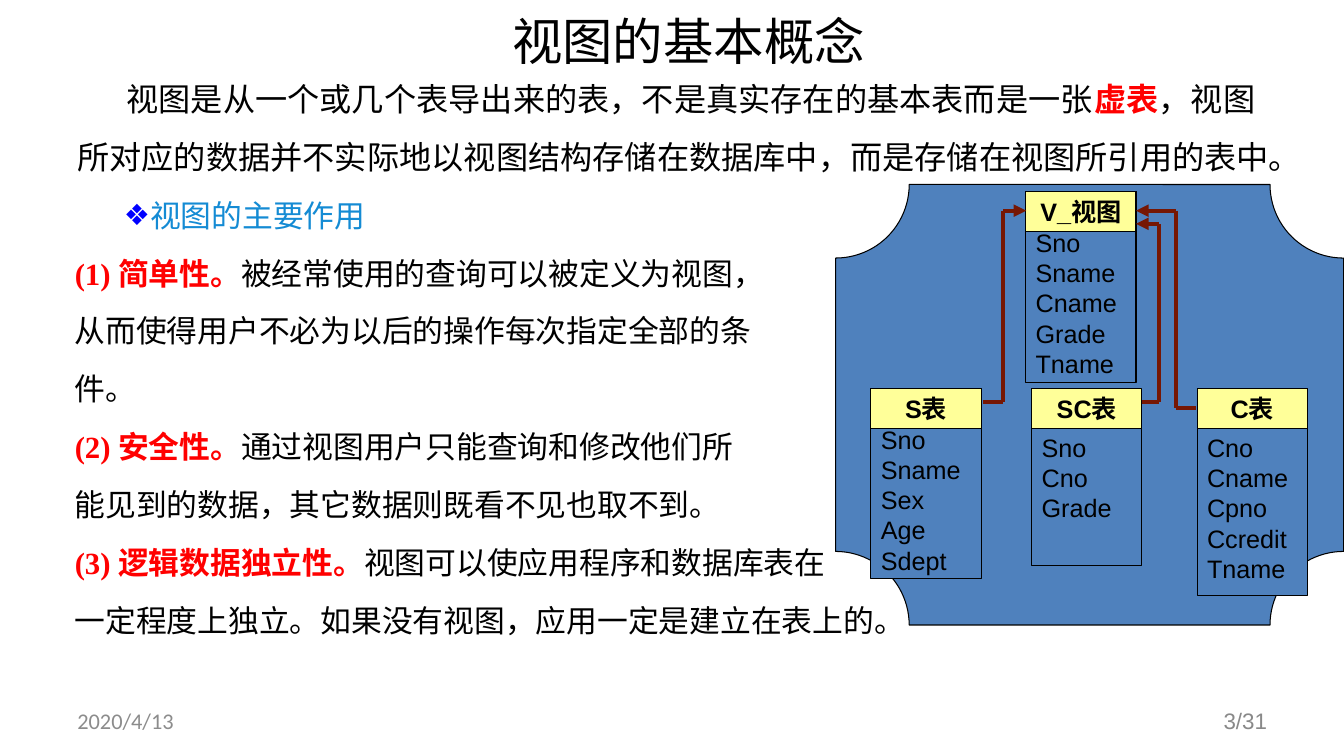
from lxml.etree import SubElement as Sub
from pptx import Presentation
from pptx.dml.color import RGBColor
from pptx.enum.shapes import MSO_CONNECTOR as Link, MSO_SHAPE as Kind
from pptx.enum.text import MSO_ANCHOR as Anchor, MSO_AUTO_SIZE as Auto, PP_ALIGN as Align
from pptx.oxml.ns import qn
from pptx.util import Cm, Pt

BLACK = RGBColor(0x00, 0x00, 0x00)
RED = RGBColor(0xFF, 0x00, 0x00)
AZURE = RGBColor(0x14, 0x8B, 0xD4)
BLUE = RGBColor(0x4F, 0x81, 0xBD)
CREAM = RGBColor(0xFF, 0xFF, 0x99)
MAROON = RGBColor(0x76, 0x17, 0x04)
GRAY = RGBColor(0x8C, 0x8C, 0x8C)
SILVER = RGBColor(0x89, 0x89, 0x89)


def write(para, text, color, **form):
    run = para.add_run()
    run.text = text
    run.font.color.rgb = color
    for key, val in form.items():
        setattr(run.font, key, val)


def draw(kind, box, fill):
    shape = slide.shapes.add_shape(kind, *map(Cm, box))
    shape.shadow.inherit = False
    shape.fill.solid()
    shape.fill.fore_color.rgb = fill
    shape.line.color.rgb = BLACK
    shape.line.width = Pt(0.75)
    return shape


deck = Presentation()
deck.slide_width, deck.slide_height = Cm(33.87), Cm(19.05)
slide = deck.slides.add_slide(deck.slide_layouts[1])
title, body = slide.placeholders
sides = ("left", "top", "width", "height")
for holder, box in (
    (title, (6.53, -0.08, 21.64, 2.21)),
    (body, (0.36, 4.45, 23.04, 12.45)),
):
    for side, size in zip(sides, box):
        setattr(holder, side, Cm(size))
    holder.text_frame.auto_size = Auto.NONE

head = title.text_frame.paragraphs[0]
head.alignment = Align.CENTER
write(head, "视图的基本概念", BLACK, size=Pt(36), name="Times New Roman")

points = [
    [("视图的主要作用", AZURE)],
    [("(1) 简单性。", RED), ("被经常使用的查询可以被定义为视图，", BLACK)],
    [("从而使得用户不必为以后的操作每次指定全部的条", BLACK)],
    [("件。", BLACK)],
    [("(2) 安全性。", RED), ("通过视图用户只能查询和修改他们所", BLACK)],
    [("能见到的数据，其它数据则既看不见也取不到。", BLACK)],
    [("(3) 逻辑数据独立性。", RED), ("视图可以使应用程序和数据库表在", BLACK)],
    [("一定程度上独立。如果没有视图，应用一定是建立在表上的。", BLACK)],
]
space = {"line_spacing": 1.4, "space_before": Pt(0), "space_after": Pt(4.4)}
frame = body.text_frame
for row, parts in enumerate(points):
    para = frame.add_paragraph() if row else frame.paragraphs[0]
    for key, val in space.items():
        setattr(para, key, val)
    for text, color in parts:
        write(para, text, color, size=Pt(22), name="Times New Roman", bold=color == RED)
    props = para._p.get_or_add_pPr()
    props.set("marL", str(Cm(1.27)))
    props.set("indent", str(0 if row else Cm(1.24)))
    if row:
        Sub(props, qn("a:buNone"))
    else:
        Sub(Sub(props, qn("a:buClr")), qn("a:srgbClr")).set("val", "0000FF")
        Sub(props, qn("a:buSzPct")).set("val", "95000")
        Sub(props, qn("a:buChar")).set("char", "❖")

for left, text, align, font, color in (
    (1.7, "2020/4/13", Align.LEFT, "Calibri", GRAY),
    (24.28, "3/31", Align.RIGHT, "Arial", SILVER),
):
    frame = slide.shapes.add_textbox(Cm(left), Cm(17.65), Cm(7.9), Cm(1.02)).text_frame
    frame.word_wrap = True
    frame.vertical_anchor = Anchor.MIDDLE
    frame.paragraphs[0].alignment = align
    write(frame.paragraphs[0], text, color, size=Pt(16), name=font)

plaque = draw(Kind.PLAQUE, (21.06, 4.65, 12.8, 11.1), BLUE)
plaque.adjustments[0] = 0.167

wide, tall = 2.78, 1
tables = [
    ("S表", 21.95, 9.79, 4.8, "Sno Sname Sex Age Sdept"),
    ("SC表", 26, 9.79, 4.47, "Sno Cno Grade"),
    ("C表", 30.17, 9.79, 5.21, "Cno Cname Cpno Ccredit Tname"),
    ("V_视图", 25.85, 4.83, 4.8, "Sno Sname Cname Grade Tname"),
]
for name, left, top, high, names in tables:
    fields = names.split()
    drop = 0.8 if len(fields) > 3 else 0
    for lines, size, fill, align, bold, inset, shift in (
        (fields, high, BLUE, Align.LEFT, False, 0.25, drop),
        ([name], tall, CREAM, Align.CENTER, True, 0, 0),
    ):
        frame = draw(Kind.RECTANGLE, (left, top, wide, size), fill).text_frame
        form = {
            "word_wrap": True,
            "vertical_anchor": Anchor.MIDDLE,
            "margin_left": Cm(inset),
            "margin_right": Cm(0),
            "margin_top": Cm(shift),
            "margin_bottom": Cm(0),
        }
        for key, val in form.items():
            setattr(frame, key, val)
        for row, text in enumerate(lines):
            para = frame.add_paragraph() if row else frame.paragraphs[0]
            para.alignment = align
            write(para, text, BLACK, size=Pt(18), name="Arial", bold=bold)

routes = [
    (28.63, 5.31, 29.64, 10.29, 30.15),
    (25.86, 5.31, 25.27, 10.13, 24.76),
    (28.63, 5.64, 29.21, 10.13, 28.78),
]
for tip, high, bend, low, end in routes:
    stops = [(tip, high), (bend, high), (bend, low), (end, low)]
    for step, (start, stop) in enumerate(zip(stops, stops[1:])):
        line = slide.shapes.add_connector(Link.STRAIGHT, *map(Cm, start + stop))
        line.line.color.rgb = MAROON
        line.line.width = Pt(3)
        if step == 0:
            Sub(line.line._get_or_add_ln(), qn("a:headEnd")).set("type", "triangle")
        Sub(line._element.spPr, qn("a:effectLst"))

frame = slide.shapes.add_textbox(Cm(1.7), Cm(1.4), Cm(30.89), Cm(3.05)).text_frame
frame.word_wrap = True
intro = frame.paragraphs[0]
intro.line_spacing = 1.5
intro._p.get_or_add_pPr().set("indent", str(Cm(1.24)))
for text, color in (
    ("视图是从一个或几个表导出来的表，不是真实存在的基本表而是一张", BLACK),
    ("虚表", RED),
    ("，视图所对应的数据并不实际地以视图结构存储在数据库中，而是存储在视图所引用的表中。", BLACK),
):
    write(intro, text, color, size=Pt(23), name="Calibri", bold=color == RED)

deck.save("out.pptx")
